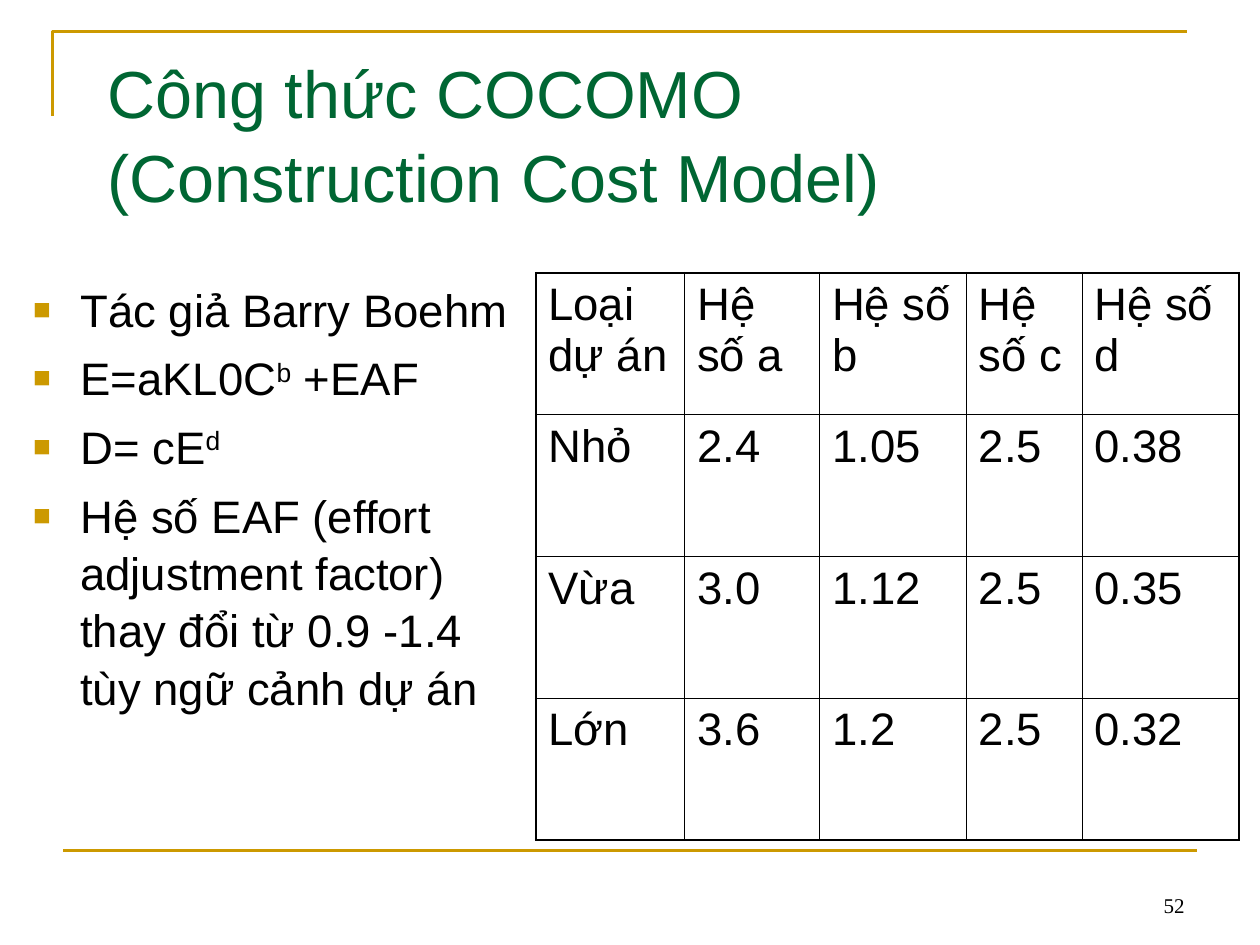
import dataclasses

import lxml.etree
import pptx
import pptx.dml.color
import pptx.enum.shapes
import pptx.enum.text
import pptx.oxml.ns
import pptx.util

Cm = pptx.util.Cm
Pt = pptx.util.Pt
qn = pptx.oxml.ns.qn
ALIGN = pptx.enum.text.PP_ALIGN
ANCHOR = pptx.enum.text.MSO_ANCHOR


@dataclasses.dataclass(frozen=True)
class Theme:
    ink: str = "000000"
    green: str = "006633"
    gold: str = "CC9900"
    sans: str = "Arial"
    serif: str = "Times New Roman"
    title_size: float = 38
    body_size: float = 26
    number_size: float = 12
    paragraph_gap: float = 6.5
    line_spacing: float = 1.05
    rule_width: float = 1.5
    outer_border: float = 1.08
    inner_border: float = 0.45


def rgb(value):
    return pptx.dml.color.RGBColor.from_string(value)


class SlideBuilder:
    def __init__(self, page, theme):
        self.page = page
        self.theme = theme

    def add_span(self, para, text, size, color, font, raised=False):
        span = para.add_run()
        span.text = text
        span.font.size = Pt(size)
        span.font.name = font
        span.font.color.rgb = rgb(color)
        if raised:
            span.font._element.set("baseline", "30000")

    def add_title(self, text, left, top, width, height):
        box = self.page.shapes.title
        box.left, box.top, box.width, box.height = map(Cm, (left, top, width, height))
        frame = box.text_frame
        frame.word_wrap = True
        frame.auto_size = pptx.enum.text.MSO_AUTO_SIZE.NONE
        frame.vertical_anchor = ANCHOR.TOP
        frame.margin_right = Cm(0.5)
        para = frame.paragraphs[0]
        para.alignment = ALIGN.LEFT
        para.line_spacing = self.theme.line_spacing
        self.add_span(para, text, self.theme.title_size, self.theme.green, self.theme.sans)

    def add_text_frame(self, left, top, width, height, anchor):
        box = self.page.shapes.add_textbox(*map(Cm, (left, top, width, height)))
        frame = box.text_frame
        frame.word_wrap = True
        frame.vertical_anchor = anchor
        return frame

    def set_bullet(self, para):
        properties = para._p.get_or_add_pPr()
        indent = Cm(0.95)
        properties.set("marL", str(indent))
        properties.set("indent", str(-indent))
        color = lxml.etree.SubElement(properties, qn("a:buClr"))
        lxml.etree.SubElement(color, qn("a:srgbClr"), val=self.theme.gold)
        lxml.etree.SubElement(properties, qn("a:buSzPct"), val="65000")
        lxml.etree.SubElement(properties, qn("a:buFont"), typeface=self.theme.sans)
        lxml.etree.SubElement(properties, qn("a:buChar"), char="■")

    def add_bullets(self, items, left, top, width, height):
        frame = self.add_text_frame(left, top, width, height, ANCHOR.TOP)
        for index, spans in enumerate(items):
            para = frame.add_paragraph() if index else frame.paragraphs[0]
            self.set_bullet(para)
            para.line_spacing = self.theme.line_spacing
            para.space_before = Pt(self.theme.paragraph_gap if index else 0)
            for text, raised in spans:
                self.add_span(para, text, self.theme.body_size, self.theme.ink,
                              self.theme.sans, raised)

    def add_number(self, text, left, top, width, height):
        frame = self.add_text_frame(left, top, width, height, ANCHOR.BOTTOM)
        para = frame.paragraphs[0]
        para.alignment = ALIGN.RIGHT
        self.add_span(para, text, self.theme.number_size, self.theme.ink, self.theme.serif)

    def add_corner(self, left, top, width, height):
        points = [(left, top), (left + width, top)]
        builder = self.page.shapes.build_freeform(Cm(left), Cm(top + height))
        builder.add_line_segments([(Cm(x), Cm(y)) for x, y in points], close=False)
        corner = builder.convert_to_shape()
        corner.shadow.inherit = False
        corner.fill.background()
        self.set_line(corner)

    def add_rule(self, left, right, y):
        rule = self.page.shapes.add_connector(
            pptx.enum.shapes.MSO_CONNECTOR.STRAIGHT, Cm(left), Cm(y), Cm(right), Cm(y))
        self.set_line(rule)
        lxml.etree.SubElement(rule._element.spPr, qn("a:effectLst"))

    def set_line(self, shape):
        shape.line.color.rgb = rgb(self.theme.gold)
        shape.line.width = Pt(self.theme.rule_width)

    def set_borders(self, cell, outer_sides):
        properties = cell._tc.get_or_add_tcPr()
        for position, (side, outer) in enumerate(outer_sides.items()):
            width = self.theme.outer_border if outer else self.theme.inner_border
            border = lxml.etree.Element(qn(f"a:ln{side}"), w=str(Pt(width)))
            fill = lxml.etree.SubElement(border, qn("a:solidFill"))
            lxml.etree.SubElement(fill, qn("a:srgbClr"), val=self.theme.ink)
            properties.insert(position, border)

    def add_table(self, rows, widths, left, top, row_height):
        last_row, last_column = len(rows) - 1, len(widths) - 1
        table = self.page.shapes.add_table(
            len(rows), len(widths), Cm(left), Cm(top),
            Cm(sum(widths)), Cm(row_height * len(rows))).table
        table.first_row = table.horz_banding = False
        for column, width in zip(table.columns, widths):
            column.width = Cm(width)
        for r, values in enumerate(rows):
            table.rows[r].height = Cm(row_height)
            for c, text in enumerate(values):
                cell = table.cell(r, c)
                cell.fill.background()
                self.add_span(cell.text_frame.paragraphs[0], text,
                              self.theme.body_size, self.theme.ink, self.theme.sans)
                self.set_borders(cell, {"L": c == 0, "R": c == last_column,
                                        "T": r == 0, "B": r == last_row})


def main():
    deck = pptx.Presentation()
    deck.slide_width, deck.slide_height = Cm(25.4), Cm(19.05)
    builder = SlideBuilder(deck.slides.add_slide(deck.slide_layouts[5]), Theme())

    builder.add_corner(1.06, 0.64, 22.86, 1.7)
    builder.add_rule(1.27, 24.13, 17.15)
    builder.add_title("Công thức COCOMO (Construction Cost Model)", 1.91, 0.85, 21.59, 2.75)
    builder.add_bullets([
        [("Tác giả Barry Boehm", False)],
        [("E=aKL0C", False), ("b", True), (" +EAF", False)],
        [("D= cE", False), ("d", True)],
        [("Hệ số EAF (effort adjustment factor) thay đổi từ 0.9 -1.4 "
          "tùy ngữ cảnh dự án", False)],
    ], 0.42, 5.5, 10.16, 11.43)
    builder.add_table([
        ["Loại dự án", "Hệ số a", "Hệ số b", "Hệ số c", "Hệ số d"],
        ["Nhỏ", "2.4", "1.05", "2.5", "0.38"],
        ["Vừa", "3.0", "1.12", "2.5", "0.35"],
        ["Lớn", "3.6", "1.2", "2.5", "0.32"],
    ], [3, 2.72, 2.96, 2.33, 3.17], 10.8, 5.5, 2.86)
    builder.add_number("52", 18.2, 17.36, 5.93, 1.27)
    deck.save("out.pptx")


if __name__ == "__main__":
    main()
